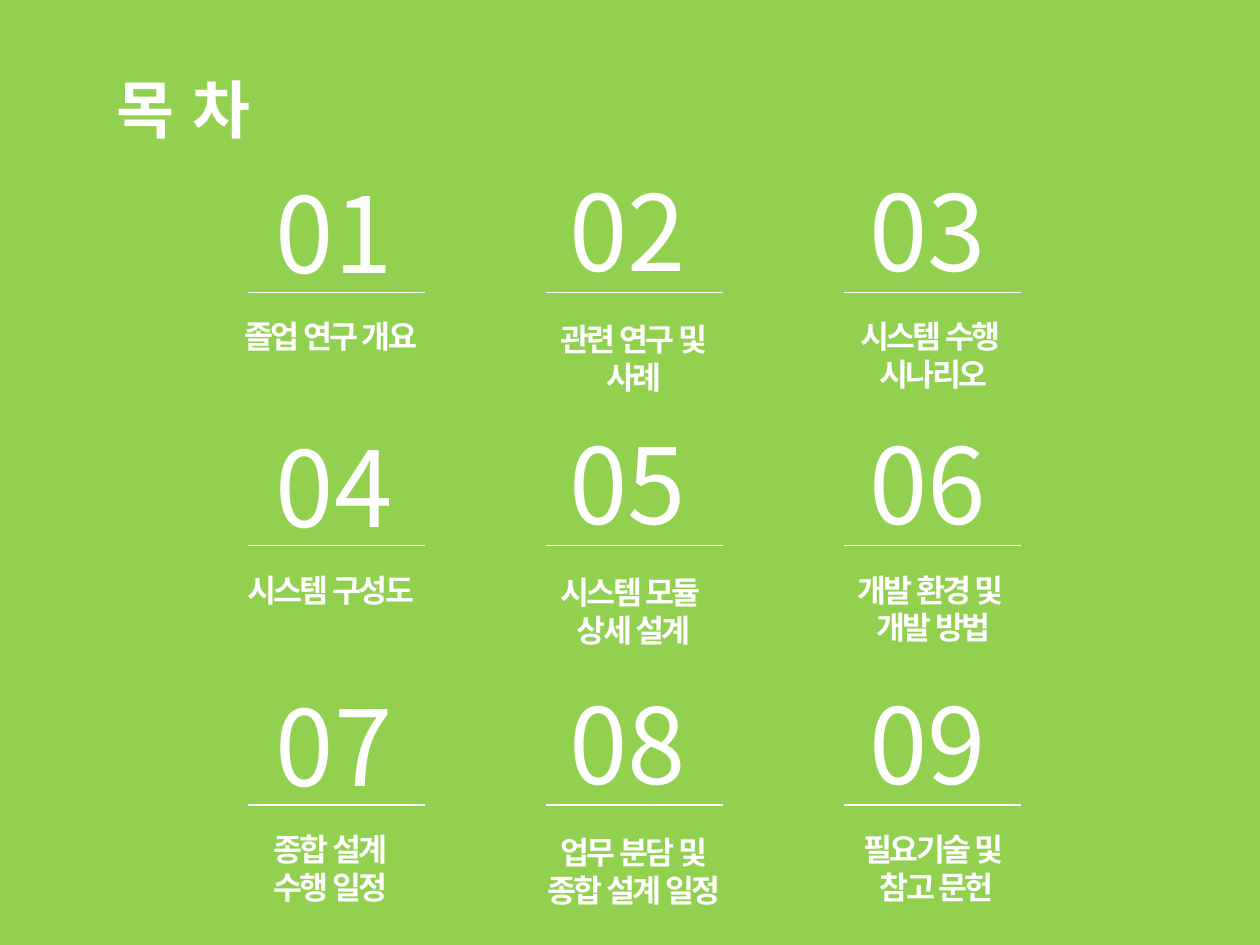
from lxml import etree
from pptx import Presentation
from pptx.dml.color import RGBColor
from pptx.enum.shapes import MSO_CONNECTOR
from pptx.enum.text import MSO_AUTO_SIZE, PP_ALIGN
from pptx.oxml.ns import qn
from pptx.util import Inches, Pt

STRAIGHT = MSO_CONNECTOR.STRAIGHT
FIT_SHAPE = MSO_AUTO_SIZE.SHAPE_TO_FIT_TEXT
LEFT, CENTER = PP_ALIGN.LEFT, PP_ALIGN.CENTER

TITLE = "목 차"
CHAPTERS = [
    [["졸업 연구 개요"], ["관련 연구 및", "사례"], ["시스템 수행 ", "시나리오"]],
    [["시스템 구성도"], ["시스템 모듈 ", "상세 설계"], ["개발 환경 및 ", "개발 방법"]],
    [["종합 설계", "수행 일정"], ["업무 분담 및", "종합 설계 일정"], ["필요기술 및", " 참고 문헌"]],
]

WHITE = RGBColor.from_string("FFFFFF")
KOREAN_FONT = "Noto Sans CJK KR"
THEME = {
    "background": RGBColor.from_string("92D050"),
    "rule": WHITE,
    "rule_width": Pt(0.75),
    "title": {
        "font": {"size": Pt(36), "bold": True, "name": KOREAN_FONT},
        "align": LEFT, "wrap": True, "spacing": 0,
    },
    "number": {
        "font": {"size": Pt(60), "bold": False, "name": KOREAN_FONT},
        "align": LEFT, "wrap": False, "spacing": 0,
    },
    "caption": {
        "font": {"size": Pt(18), "bold": True, "name": "Arial"},
        "align": CENTER, "wrap": True, "spacing": -150,
    },
}

SLIDE_SIZE = (10, 7.5)
TITLE_BOX = (0.83, 0.51, 4.57, 0.71)
ROW_RULES = [2.32, 4.33, 6.39]
GRID_LEFT, COLUMN_STEP, RULE_LENGTH = 1.97, 2.365, 1.4
NUMBER_SIZE = (1.18, 1.11)
CAPTION_HEIGHTS = {1: 0.4, 2: 0.71}
COLUMNS = [
    {"number_left": 2.09, "number_rise": 1.03, "caption_left": 1.62, "caption_width": 2.01, "caption_drop": 0.15},
    {"number_left": 4.42, "number_rise": 1.05, "caption_left": 3.89, "caption_width": 2.28, "caption_drop": 0.17},
    {"number_left": 6.8, "number_rise": 1.05, "caption_left": 6.19, "caption_width": 2.44, "caption_drop": 0.15},
]


def add_text(shapes, box, lines, style):
    shape = shapes.add_textbox(*map(Inches, box))
    frame = shape.text_frame
    frame.word_wrap = style["wrap"]
    frame.auto_size = FIT_SHAPE
    for index, line in enumerate(lines):
        paragraph = frame.add_paragraph() if index else frame.paragraphs[0]
        paragraph.alignment = style["align"]
        run = paragraph.add_run()
        run.text = line
        for attribute, value in style["font"].items():
            setattr(run.font, attribute, value)
        run.font.color.rgb = WHITE
        properties = run._r.get_or_add_rPr()
        properties.set("lang", "ko-KR")
        properties.set("spc", str(style["spacing"]))
        etree.SubElement(properties, qn("a:ea")).set("typeface", KOREAN_FONT)


def add_rule(shapes, left, top):
    rule = shapes.add_connector(
        STRAIGHT, Inches(left), Inches(top), Inches(left + RULE_LENGTH), Inches(top)
    )
    rule.line.color.rgb = THEME["rule"]
    rule.line.width = THEME["rule_width"]
    etree.SubElement(rule._element.spPr, qn("a:effectLst"))


def add_row(slide, row, chapters):
    top = ROW_RULES[row]
    group = slide.shapes.add_group_shape()
    for index, (column, lines) in enumerate(zip(COLUMNS, chapters)):
        add_rule(group.shapes, GRID_LEFT + index * COLUMN_STEP, top)
        caption_box = (
            column["caption_left"], top + column["caption_drop"],
            column["caption_width"], CAPTION_HEIGHTS[len(lines)],
        )
        add_text(group.shapes, caption_box, lines, THEME["caption"])
        number = row * len(COLUMNS) + index + 1
        number_box = (column["number_left"], top - column["number_rise"], *NUMBER_SIZE)
        add_text(slide.shapes, number_box, [f"{number:02d}"], THEME["number"])


def main():
    presentation = Presentation()
    presentation.slide_width, presentation.slide_height = map(Inches, SLIDE_SIZE)
    slide = presentation.slides.add_slide(presentation.slide_layouts[6])
    slide.background.fill.solid()
    slide.background.fill.fore_color.rgb = THEME["background"]
    add_text(slide.shapes, TITLE_BOX, [TITLE], THEME["title"])
    for row, chapters in enumerate(CHAPTERS):
        add_row(slide, row, chapters)
    presentation.save("out.pptx")


if __name__ == "__main__":
    main()
